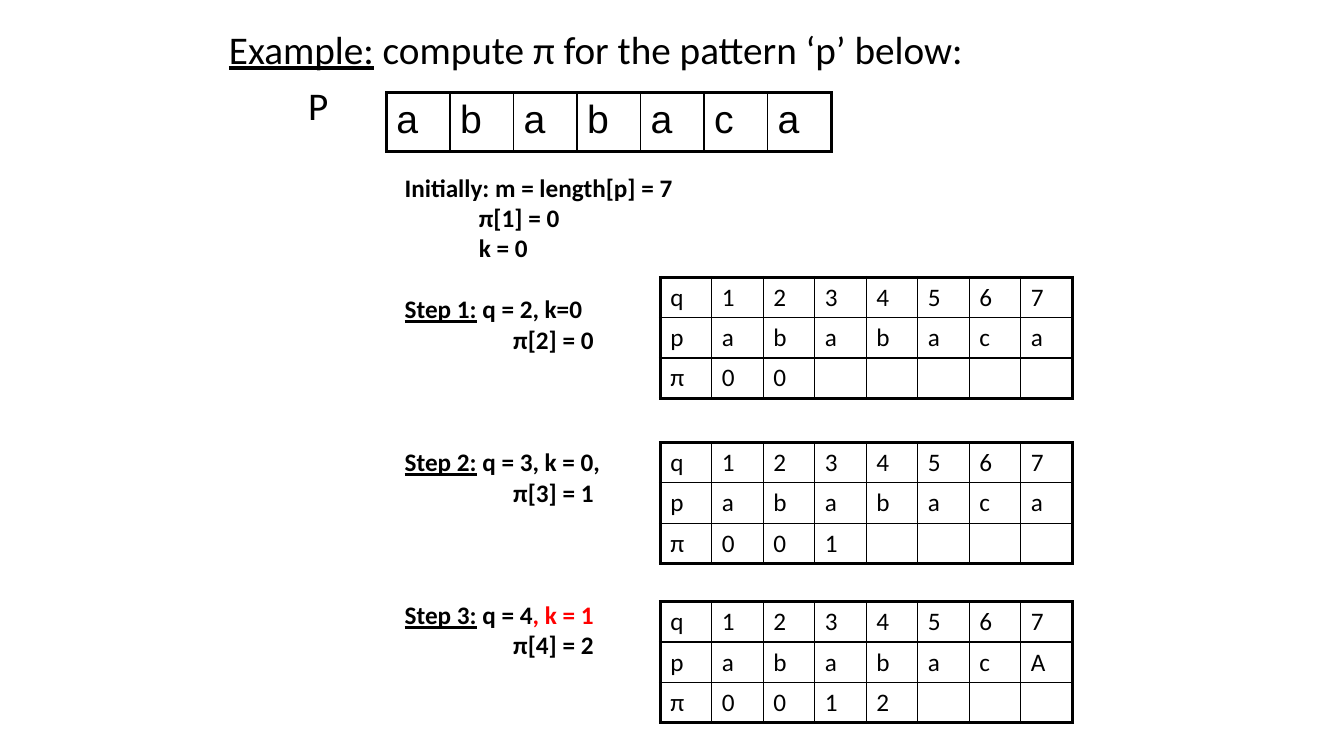
from lxml import etree
from pptx import Presentation
from pptx.dml.color import RGBColor
from pptx.enum.text import MSO_ANCHOR
from pptx.oxml.ns import qn
from pptx.util import Pt

TOP = MSO_ANCHOR.TOP
BLACK, RED = "000000", "FF0000"
THICK, THIN = 2.25, 1
TITLE = {"size": 28, "name": "Calibri", "color": BLACK}
NOTE = {"size": 18, "name": "Calibri", "color": BLACK, "bold": True}
LETTER = {"size": 28, "name": "Arial", "color": BLACK}
CELL = {"size": 18, "name": "Calibri", "color": BLACK}
LINE = 22  # height of one line of 18 pt text


def rgb(value):
    return RGBColor.from_string(value)


def add_run(p, text, **fmt):
    r = p.add_run()
    r.text = text
    for key, value in fmt.items():
        if key == "color":
            r.font.color.rgb = rgb(value)
        else:
            setattr(r.font, key, Pt(value) if key == "size" else value)


def add_text(s, left, top, width, height, lines, base, spacing=1.0):
    """Each line is (left indent, space before, runs); a run is (text, changes)."""
    tf = s.shapes.add_textbox(Pt(left), Pt(top), Pt(width), Pt(height)).text_frame
    tf.word_wrap = True
    for i, (indent, before, runs) in enumerate(lines):
        p = tf.add_paragraph() if i else tf.paragraphs[0]
        p.line_spacing = spacing
        p.space_before = Pt(before)
        p._p.get_or_add_pPr().set("marL", str(Pt(indent)))
        for text, changes in runs:
            add_run(p, text, **{**base, **changes})


def set_borders(cell, widths):
    tcPr = cell._tc.get_or_add_tcPr()
    for side, width in widths.items():
        ln = etree.SubElement(tcPr, qn("a:ln" + side), w=str(Pt(width)))
        fill = etree.SubElement(ln, qn("a:solidFill"))
        etree.SubElement(fill, qn("a:srgbClr"), val=BLACK)


def add_grid(s, left, top, col_w, row_h, rows, fmt):
    """Table with a thick frame, thin inner lines and no fill."""
    n_rows, n_cols = len(rows), len(rows[0])
    table = s.shapes.add_table(n_rows, n_cols, Pt(left), Pt(top),
                               Pt(col_w * n_cols), Pt(row_h * n_rows)).table
    table.first_row = table.horz_banding = False
    for col in table.columns:
        col.width = Pt(col_w)
    for i, row in enumerate(rows):
        table.rows[i].height = Pt(row_h)
        for j, text in enumerate(row):
            cell = table.cell(i, j)
            cell.vertical_anchor = TOP
            outer = {"L": j == 0, "R": j == n_cols - 1,
                     "T": i == 0, "B": i == n_rows - 1}
            set_borders(cell, {k: THICK if v else THIN for k, v in outer.items()})
            cell.fill.background()
            if text:
                add_run(cell.text_frame.paragraphs[0], text, **fmt)


def add_step_table(s, top, pattern, prefix):
    """Rows q, p and π; prefix holds the π values found so far."""
    rows = ["q1234567", "p" + pattern, list(("π" + prefix).ljust(8))]
    rows[2] = [text.strip() for text in rows[2]]
    add_grid(s, 471.6, top, 36.8, 28.8, rows, CELL)


def main():
    prs = Presentation()
    prs.slide_width, prs.slide_height = Pt(960), Pt(540)
    s = prs.slides.add_slide(prs.slide_layouts[6])

    # Heading and pattern
    add_text(s, 156.5, 18, 582, 96, [
        (0, 0, [("Example:", {"underline": True}),
                (" compute π for the pattern ‘p’ below:", {})]),
        (56.5, 10, [("P", {})]),
    ], TITLE, 0.9)
    add_grid(s, 276, 66.2, 45.4, 42, ["ababaca"], LETTER)

    # Initial values and steps
    lines = [
        (0, 0, [("Initially: m = length[p] = 7", {})]),
        (53, 0, [("π[1] = 0", {})]),
        (53, 0, [("k = 0", {})]),
    ]
    steps = [
        ("Step 1:", [(" q = 2, k=0", {})], "π[2] = 0", LINE),
        ("Step 2:", [(" q = 3, k = 0,", {})], "π[3] = 1", 3 * LINE),
        ("Step 3:", [(" q = 4", {}), (", k = 1", {"color": RED})],
         "π[4] = 2", 3 * LINE),
    ]
    for name, values, result, before in steps:
        lines.append((0, before, [(name, {"underline": True})] + values))
        lines.append((77.5, 0, [(result, {})]))
    add_text(s, 282, 119.5, 306, 397, lines, NOTE)

    # State of π after each step
    add_step_table(s, 198, "ababaca", "00")
    add_step_table(s, 316, "ababaca", "001")
    add_step_table(s, 429.8, "ababacA", "0012")

    prs.save("out.pptx")


if __name__ == "__main__":
    main()
